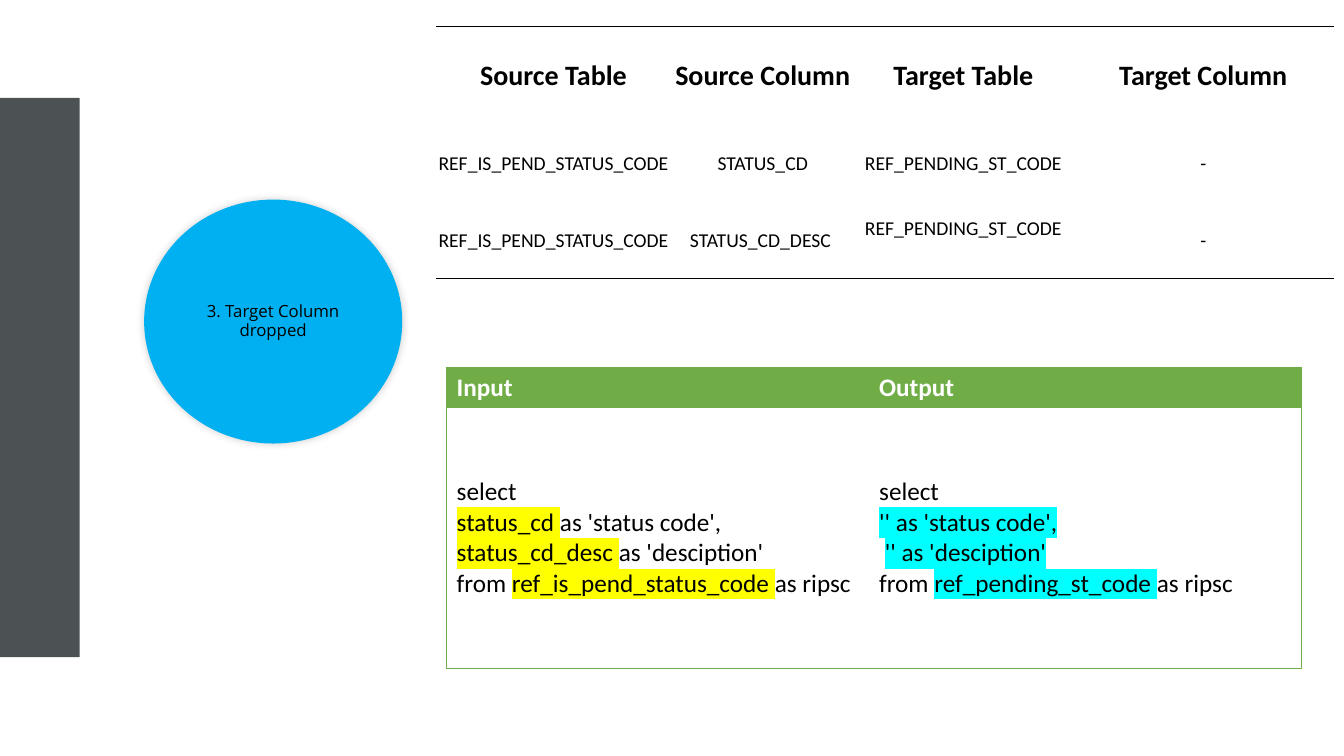
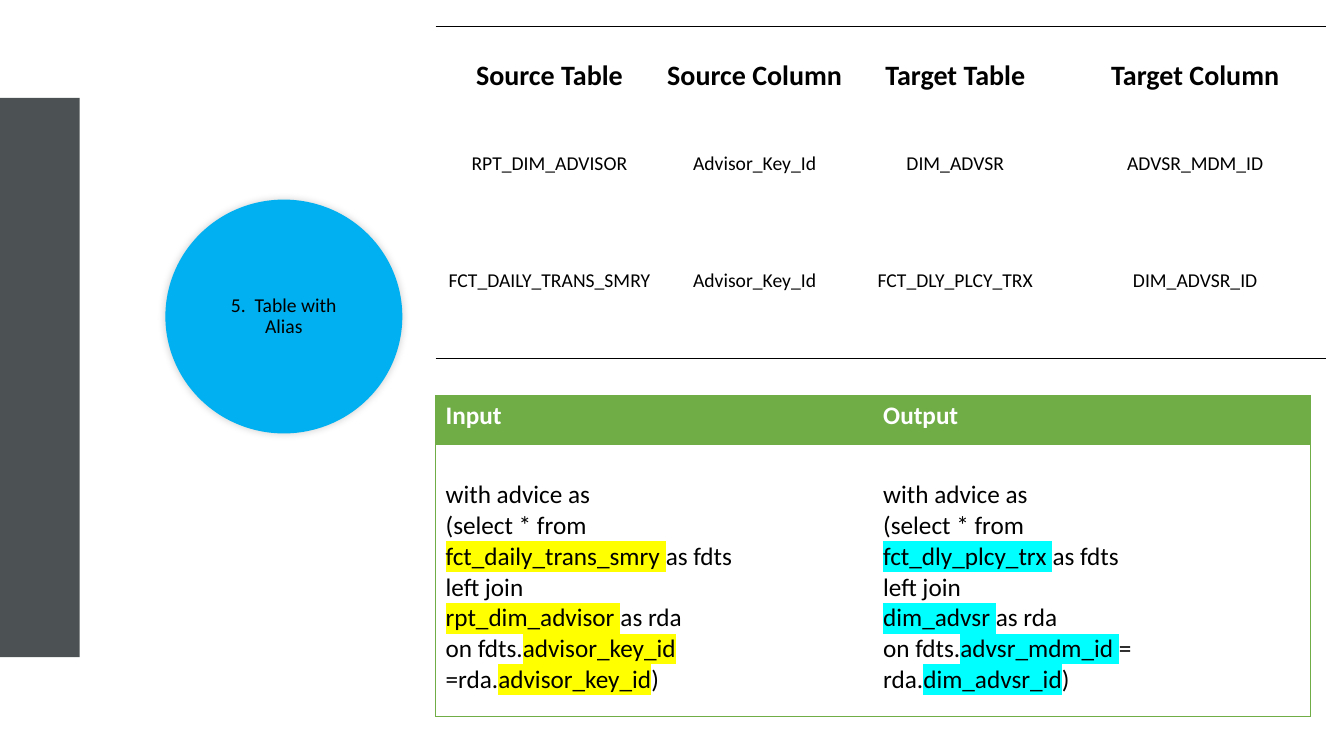
from lxml import etree
from pptx import Presentation
from pptx.dml.color import RGBColor
from pptx.enum.shapes import MSO_SHAPE
from pptx.enum.text import MSO_ANCHOR, PP_ALIGN
from pptx.oxml.ns import qn
from pptx.util import Inches, Pt

# Shared look
SLATE = RGBColor(0x4C, 0x52, 0x54)
SKY = RGBColor(0x00, 0xB0, 0xF0)
GREEN = RGBColor(0x70, 0xAD, 0x47)
YELLOW = RGBColor(0xFF, 0xFF, 0x00)
CYAN = RGBColor(0x00, 0xFF, 0xFF)
BLACK = RGBColor(0x00, 0x00, 0x00)
WHITE = RGBColor(0xFF, 0xFF, 0xFF)
BODY_FONT = "Calibri"
LEFT, CENTER = PP_ALIGN.LEFT, PP_ALIGN.CENTER
TOP, MIDDLE = MSO_ANCHOR.TOP, MSO_ANCHOR.MIDDLE
RECTANGLE, OVAL = MSO_SHAPE.RECTANGLE, MSO_SHAPE.OVAL
NO_GRID_STYLE = "{2D5ABB26-0587-4C30-8999-92F81FD0307C}"

MAPPING_HEADS = ["Source Table", "Source Column", "Target Table", "Target Column"]
CODE_HEADS = ["Input", "Output"]
HIGHLIGHTS = [YELLOW, CYAN]

# Code lines: text between bars is highlighted
DROPPED_CODE = [
    ["select",
     "|status_cd |as 'status code',",
     "|status_cd_desc |as 'desciption'",
     "from |ref_is_pend_status_code |as ripsc"],
    ["select",
     "|'' as 'status code',|",
     " |'' as 'desciption'|",
     "from |ref_pending_st_code |as ripsc"],
]
ALIAS_CODE = [
    ["with advice as",
     "(select * from",
     "|fct_daily_trans_smry |as fdts",
     "left join",
     "|rpt_dim_advisor |as rda",
     "on fdts.|advisor_key_id |=rda.|advisor_key_id|)"],
    ["with advice as",
     "(select * from",
     "|fct_dly_plcy_trx |as fdts",
     "left join",
     "|dim_advsr |as rda",
     "on fdts.|advsr_mdm_id |= rda.|dim_advsr_id|)"],
]


def add_color(parent, color):
    return etree.SubElement(parent, qn("a:srgbClr"), val=str(color))


def write_text(frame, lines, size=18, font=BODY_FONT, color=BLACK, bold=False,
               align=LEFT, highlight=None, line_spacing=None):
    """Write one paragraph per line, highlighting the parts between bars."""
    frame.word_wrap = True
    for row, line in enumerate(lines):
        paragraph = frame.paragraphs[0] if row == 0 else frame.add_paragraph()
        paragraph.alignment = align
        if line_spacing:
            paragraph.line_spacing = line_spacing
        for part, words in enumerate(line.split("|")):
            if not words:
                continue
            run = paragraph.add_run()
            run.text = words
            run.font.size = Pt(size)
            run.font.bold = bold
            run.font.color.rgb = color
            if highlight and part % 2:
                marker = etree.SubElement(run.font._element, qn("a:highlight"))
                add_color(marker, highlight)
            run.font.name = font


def add_block(slide, kind, left, top, width, height, fill):
    block = slide.shapes.add_shape(kind, Inches(left), Inches(top),
                                   Inches(width), Inches(height))
    block.shadow.inherit = False
    block.fill.solid()
    block.fill.fore_color.rgb = fill
    block.line.fill.background()
    return block


def add_topic(slide, label, left, width, height, size, font):
    topic = add_block(slide, OVAL, left, 1.98, width, height, SKY)
    # Soft shadow
    effects = topic._element.spPr.find(qn("a:effectLst"))
    glow = etree.SubElement(effects, qn("a:outerShdw"), blurRad=str(Pt(6)),
                            dist="0", dir="13500000", rotWithShape="0")
    etree.SubElement(add_color(glow, BLACK), qn("a:alpha"), val="20000")
    frame = topic.text_frame
    frame.margin_left = frame.margin_right = Inches(0.2)
    frame.vertical_anchor = MIDDLE
    write_text(frame, [label], size=size, font=font, align=CENTER, line_spacing=0.9)


def add_plain_table(slide, left, top, widths, heights):
    table = slide.shapes.add_table(
        len(heights), len(widths), Inches(left), Inches(top),
        Inches(sum(widths)), Inches(sum(heights))).table
    table.first_row = table.horz_banding = False
    table._tbl.tblPr.find(qn("a:tableStyleId")).text = NO_GRID_STYLE
    for column, width in zip(table.columns, widths):
        column.width = Inches(width)
    for row, height in zip(table.rows, heights):
        row.height = Inches(height)
    return table


def style_cell(cell, sides, line_color, line_width, fill=None, anchor=MIDDLE):
    """Draw the named sides (in the order L, R, T, B), then the fill."""
    properties = cell._tc.get_or_add_tcPr()
    for side in sides:
        border = etree.SubElement(properties, qn("a:ln" + side),
                                  w=str(Pt(line_width)))
        add_color(etree.SubElement(border, qn("a:solidFill")), line_color)
    if fill is None:
        cell.fill.background()
    else:
        cell.fill.solid()
        cell.fill.fore_color.rgb = fill
    cell.vertical_anchor = anchor


def add_mapping(slide, rows, first_width, last_height):
    table = add_plain_table(slide, 4.32, 0.26, [first_width, 1.81, 2.17, 2.59],
                            [0.98, 0.76, last_height])
    edges = ["T", "", "B"]
    for r, texts in enumerate([MAPPING_HEADS] + rows):
        for c, text in enumerate(texts):
            cell = table.cell(r, c)
            style_cell(cell, edges[r], BLACK, 1)
            cell.margin_left = cell.margin_right = cell.margin_top = Inches(0.01)
            cell.margin_bottom = 0
            write_text(cell.text_frame, [text], size=14 if r else 20,
                       bold=r == 0, align=CENTER)
    return table


def add_code(slide, left, top, widths, heights, code, anchor=MIDDLE, body_margin=0.05):
    table = add_plain_table(slide, left, top, widths, heights)
    for c, (head, lines) in enumerate(zip(CODE_HEADS, code)):
        outer = "LR"[c]
        header, body = table.cell(0, c), table.cell(1, c)
        style_cell(header, outer + "T", GREEN, 0.5, GREEN, anchor)
        write_text(header.text_frame, [head], color=WHITE, bold=True)
        style_cell(body, outer + "TB", GREEN, 0.5, anchor=anchor)
        body.margin_top = Inches(body_margin)
        write_text(body.text_frame, lines, highlight=HIGHLIGHTS[c])


def add_base_slide(deck):
    slide = deck.slides.add_slide(deck.slide_layouts[6])
    add_block(slide, RECTANGLE, 0, 0.97, 0.79, 5.55, SLATE)
    return slide


def add_dropped_column_slide(deck):
    slide = add_base_slide(deck)
    add_topic(slide, "3. Target Column dropped", 1.43, 2.56, 2.42, 12, "Open Sans")
    add_code(slide, 4.43, 3.64, [4.19, 4.29], [0.4, 2.58], DROPPED_CODE)
    mapping = add_mapping(slide, [
        ["REF_IS_PEND_STATUS_CODE", "STATUS_CD", "REF_PENDING_ST_CODE", "-"],
        ["REF_IS_PEND_STATUS_CODE", "STATUS_CD_DESC ", "REF_PENDING_ST_CODE", "-"],
    ], 2.34, 0.76)
    # The last target table sits a little higher in its row
    mapping.cell(2, 2).margin_bottom = Inches(0.24)


def add_alias_slide(deck):
    slide = add_base_slide(deck)
    add_topic(slide, "5.  Table with Alias", 1.64, 2.35, 2.32, 14, BODY_FONT)
    add_code(slide, 4.32, 3.92, [4.34, 4.34], [0.49, 2.7], ALIAS_CODE,
             anchor=TOP, body_margin=0.35)
    add_mapping(slide, [
        ["RPT_DIM_ADVISOR", "Advisor_Key_Id", "DIM_ADVSR", "ADVSR_MDM_ID"],
        ["FCT_DAILY_TRANS_SMRY", "Advisor_Key_Id", "FCT_DLY_PLCY_TRX", "DIM_ADVSR_ID"],
    ], 2.26, 1.56)


def main():
    deck = Presentation()
    deck.slide_width, deck.slide_height = Inches(13.33), Inches(7.5)
    add_dropped_column_slide(deck)
    add_alias_slide(deck)
    deck.save("out.pptx")


if __name__ == "__main__":
    main()
